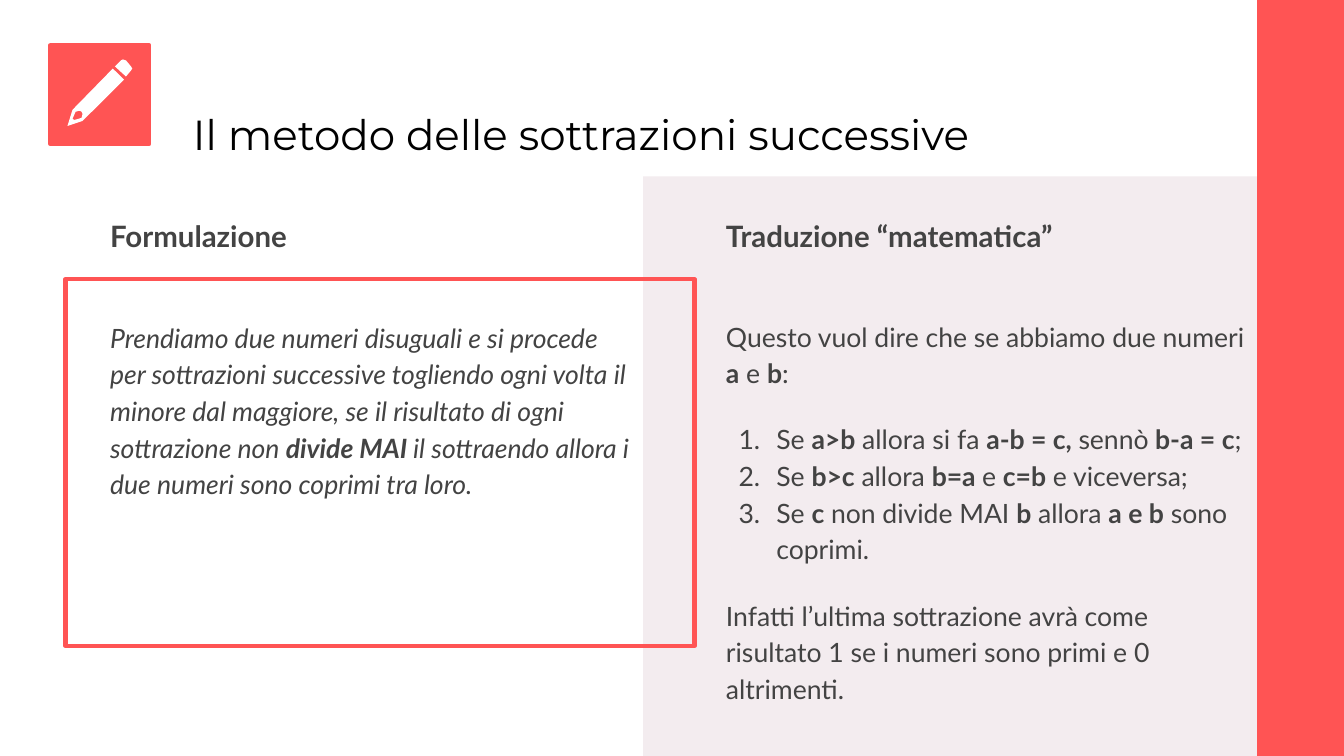
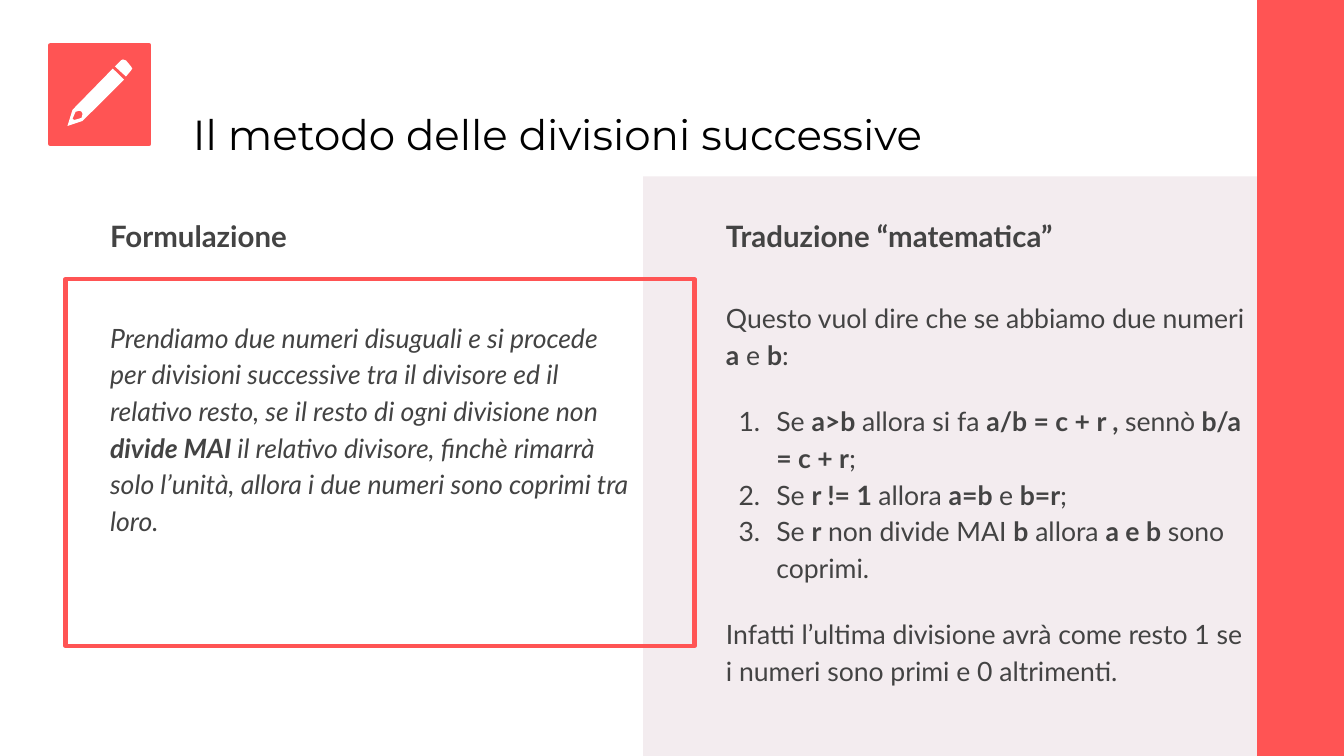
from pptx import Presentation
from pptx.dml.color import RGBColor
from pptx.enum.shapes import MSO_SHAPE
from pptx.enum.text import MSO_ANCHOR
from pptx.oxml.ns import qn
from pptx.util import Pt
from lxml.etree import SubElement

COLORS = {"accent": "FF5454", "panel": "F3ECEF", "text": "434343",
          "title": "000000", "white": "FFFFFF"}
FORMATS = {
    "title": {"name": "Montserrat", "size": Pt(30)},
    "heading": {"name": "Lato", "size": Pt(21), "bold": True},
    "quote": {"name": "Lato", "size": Pt(19), "italic": True},
    "body": {"name": "Lato", "size": Pt(19)},
}
INSET, GAP, LINE_SPACING = 9.6, 21, 1.15
LEFT_X, RIGHT_X, COLUMN_W = 69.1, 509, 391
HEADING_Y, QUOTE_Y, BODY_H = 142.6, 216.7, 245.5

# Outlines of the pencil, in tenths of a point
PENCIL_BODY = [
    [(562, 792), (572, 792), (583, 799), (590, 814), (583, 842), (533, 857),
     (518, 850), (540, 799)],
    [(806, 490), (518, 785), (482, 900), (590, 864), (886, 569)],
]
PENCIL_END = [
    [(878, 425), (864, 432), (821, 475), (900, 547), (936, 504), (945, 490),
     (936, 475), (900, 432)],
]

SLIDES = [
    {
        "title": "Il metodo delle sottrazioni successive",
        "quote": "Prendiamo due numeri disuguali e si procede per sottrazioni "
                 "successive togliendo ogni volta il minore dal maggiore, se il "
                 "risultato di ogni sottrazione non *divide MAI *il sottraendo "
                 "allora i due numeri sono coprimi tra loro.",
        "body_y": 216,
        "steps": ["Se *a>b* allora si fa *a-b = c, *sennò* b-a = c*;",
                  "Se *b>c* allora *b=a *e *c=b* e viceversa;",
                  "Se *c* non divide MAI *b* allora *a e b* sono coprimi."],
        "end": "Infatti l’ultima sottrazione avrà come risultato 1 se i numeri "
               "sono primi e 0 altrimenti.",
    },
    {
        "title": "Il metodo delle divisioni successive",
        "quote": "Prendiamo due numeri disuguali e si procede per divisioni "
                 "successive tra il divisore ed il relativo resto, se il resto di "
                 "ogni divisione non *divide MAI *il relativo divisore, finchè "
                 "rimarrà solo l’unità, allora i due numeri sono coprimi tra loro.",
        "body_y": 203,
        "steps": ["Se *a>b* allora si fa *a/b = c + r , *sennò* b/a = c + r*;",
                  "Se *r != 1 *allora *a=b *e *b=r*;",
                  "Se *r* non divide MAI *b* allora *a e b* sono coprimi."],
        "end": "Infatti l’ultima divisione avrà come resto 1 se i numeri sono "
               "primi e 0 altrimenti.",
    },
]


def rgb(name):
    return RGBColor.from_string(COLORS[name])


class Deck:
    def __init__(self):
        self.prs = Presentation()
        self.prs.slide_width, self.prs.slide_height = Pt(960), Pt(540)
        self.s = None

    def new_slide(self):
        """Start a slide with the shared band, panel, frame and icon tile."""
        self.s = self.prs.slides.add_slide(self.prs.slide_layouts[6])
        self.rect(36, 32.4, 70.6, 70.6, "accent", "accent")
        self.rect(459.4, 126, 500.6, 414, "panel")
        self.rect(899.3, 0, 60.7, 540, "accent", "accent")
        self.rect(46.8, 199.4, 449.3, 262.1, line="accent")

    def paint(self, sp, fill=None, line=None):
        sp.shadow.inherit = False
        if fill:
            sp.fill.solid()
            sp.fill.fore_color.rgb = rgb(fill)
        else:
            sp.fill.background()
        if line:
            sp.line.color.rgb = rgb(line)
            sp.line.width = Pt(3)
        else:
            sp.line.fill.background()

    def rect(self, x, y, w, h, fill=None, line=None):
        sp = self.s.shapes.add_shape(MSO_SHAPE.RECTANGLE, Pt(x), Pt(y), Pt(w), Pt(h))
        self.paint(sp, fill, line)

    def outline(self, contours, fill):
        """Draw closed contours as one filled shape."""
        builder = self.s.shapes.build_freeform(*contours[0][0], scale=Pt(0.1))
        builder.add_line_segments(contours[0][1:], close=True)
        for contour in contours[1:]:
            builder.move_to(*contour[0])
            builder.add_line_segments(contour[1:], close=True)
        self.paint(builder.convert_to_shape(), fill)

    def box(self, x, y, w, h, anchor=MSO_ANCHOR.TOP):
        tf = self.s.shapes.add_textbox(Pt(x), Pt(y), Pt(w), Pt(h)).text_frame
        tf.word_wrap, tf.vertical_anchor = True, anchor
        for side in ("left", "top", "right", "bottom"):
            setattr(tf, f"margin_{side}", Pt(INSET))
        return tf

    def paragraph(self, tf, text, style, color="text", before=0,
                  spacing=LINE_SPACING, numbered=False):
        """Add a paragraph; parts between asterisks are bold."""
        p = tf.paragraphs[0]
        if p.runs:
            p = tf.add_paragraph()
        p.line_spacing, p.space_before = spacing, Pt(before)
        if numbered:
            pPr = p._p.get_or_add_pPr()
            pPr.set("marL", str(Pt(36)))
            pPr.set("indent", str(Pt(-27)))
            SubElement(pPr, qn("a:buAutoNum"), type="arabicPeriod")
        for i, part in enumerate(text.split("*")):
            r = p.add_run()
            r.text = part
            for key, value in FORMATS[style].items():
                setattr(r.font, key, value)
            if i % 2:
                r.font.bold = True
            r.font.color.rgb = rgb(color)

    def title(self, text):
        tf = self.box(128.2, 65.5, 771, 59.8, MSO_ANCHOR.MIDDLE)
        self.paragraph(tf, text, "title", "title", spacing=1.0)

    def heading(self, x, text):
        self.paragraph(self.box(x, HEADING_Y, COLUMN_W, 56.9), text, "heading")

    def quote(self, text):
        self.paragraph(self.box(LEFT_X, QUOTE_Y, COLUMN_W, BODY_H), text, "quote")

    def procedure(self, y, steps, end):
        tf = self.box(RIGHT_X, y, COLUMN_W, BODY_H)
        self.paragraph(tf, "Questo vuol dire che se abbiamo due numeri *a* e *b*:",
                       "body")
        for i, step in enumerate(steps):
            self.paragraph(tf, step, "body", before=0 if i else GAP, numbered=True)
        self.paragraph(tf, end, "body", before=GAP)


def main():
    deck = Deck()
    for content in SLIDES:
        deck.new_slide()
        deck.heading(LEFT_X, "Formulazione")
        deck.heading(RIGHT_X, "Traduzione “matematica”")
        deck.title(content["title"])
        deck.quote(content["quote"])
        deck.procedure(content["body_y"], content["steps"], content["end"])
        deck.outline(PENCIL_BODY, "white")
        deck.outline(PENCIL_END, "white")
    deck.prs.save("out.pptx")


if __name__ == "__main__":
    main()
